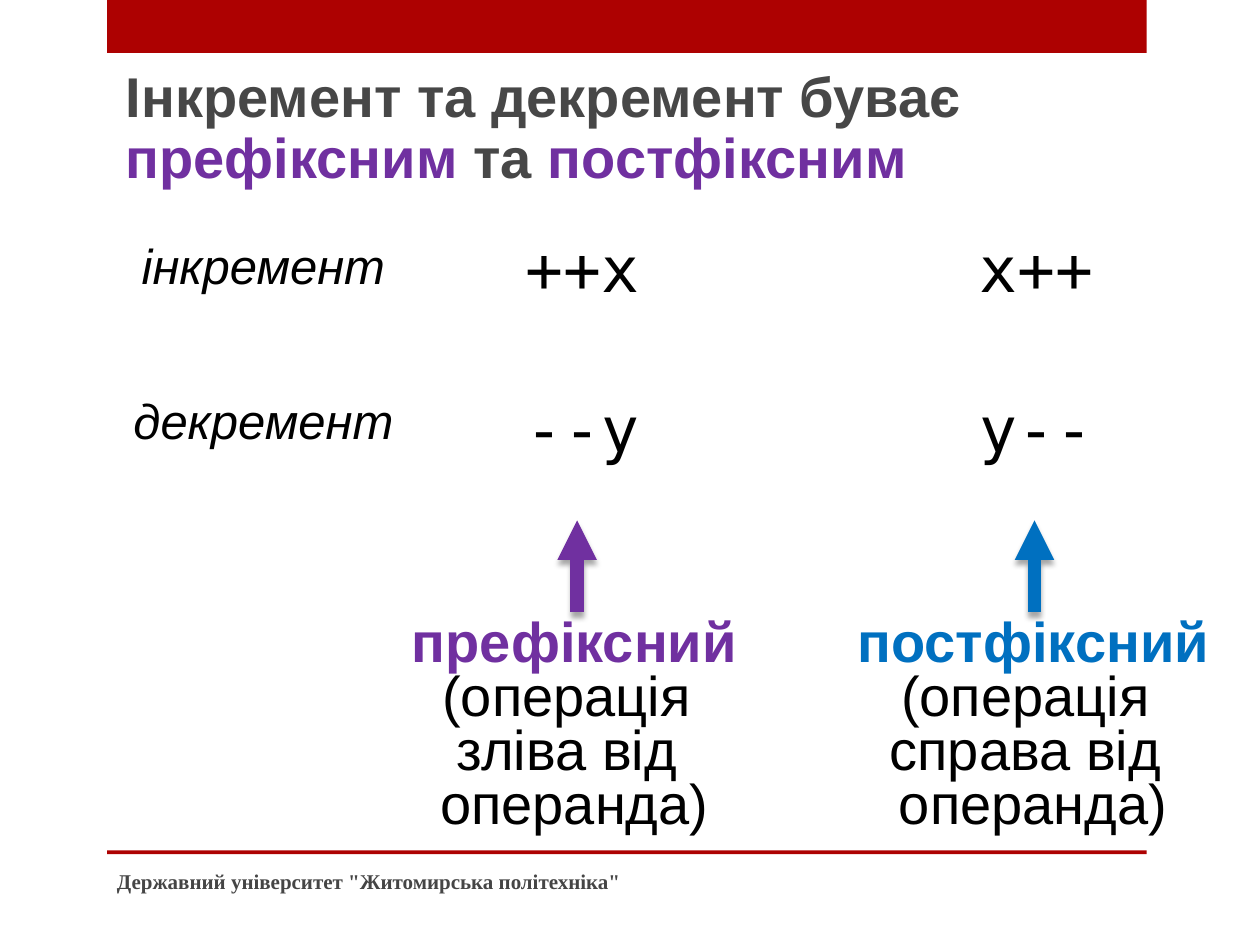
from dataclasses import dataclass

from lxml import etree
from pptx import Presentation
from pptx import util as u
from pptx.dml.color import RGBColor
from pptx.enum import shapes, text
from pptx.oxml.ns import qn

PAGE_WIDTH, PAGE_HEIGHT = u.Inches(10), u.Inches(7.5)
COLUMNS, ROWS = 100, 75


@dataclass(frozen=True)
class Theme:
    red: str = "AD0101"
    heading: str = "474747"
    footer: str = "454545"
    prefix: str = "7030A0"
    postfix: str = "0070C0"
    ink: str = "000000"
    paper: str = "FFFFFF"
    sans: str = "Arial"
    mono: str = "DejaVu Sans Mono"
    serif: str = "Times New Roman"
    title_size: int = 32
    code_size: int = 36
    label_size: int = 28
    footer_size: int = 12
    arrow_width: float = 7.5


THEME = Theme()


def across(columns):
    return round(PAGE_WIDTH * columns / COLUMNS)


def down(rows):
    return round(PAGE_HEIGHT * rows / ROWS)


def place(left, top, width, height):
    return across(left), down(top), across(width), down(height)


def add_span(para, words, font, size, color, bold=False, italic=False):
    """Add a run, turning each newline into a line break."""
    for index, line in enumerate(words.split("\n")):
        if index:
            para.add_line_break()
        if line:
            span = para.add_run()
            span.text = line
            span.font.name = font
            span.font.size = u.Pt(size)
            span.font.bold = bold
            span.font.italic = italic
            span.font.color.rgb = RGBColor.from_string(color)


def add_block(page, area, fill):
    block = page.shapes.add_shape(shapes.MSO_SHAPE.RECTANGLE, *place(*area))
    block.shadow.inherit = False
    block.fill.solid()
    block.fill.fore_color.rgb = RGBColor.from_string(fill)
    block.line.fill.background()
    return block


def add_text(page, area, spacing=1.0, align=text.PP_ALIGN.LEFT, wrap=True,
             anchor=text.MSO_ANCHOR.TOP):
    """Add a text box and return its first paragraph."""
    frame = page.shapes.add_textbox(*place(*area)).text_frame
    frame.word_wrap = wrap
    frame.vertical_anchor = anchor
    para = frame.paragraphs[0]
    para.line_spacing = spacing
    para.alignment = align
    return para


def add_code(page, left, top, code):
    block = add_block(page, (left, top, 22.7, 7.1), THEME.paper)
    block.text_frame.vertical_anchor = text.MSO_ANCHOR.TOP
    para = block.text_frame.paragraphs[0]
    para.alignment = text.PP_ALIGN.CENTER
    add_span(para, code, THEME.mono, THEME.code_size, THEME.ink)


def add_centered(page, center, top, width, height):
    return add_text(page, (center - width / 2, top, width, height), 0.8,
                    text.PP_ALIGN.CENTER, wrap=False)


def add_arrow(page, column, color):
    """Add an upward arrow with a soft shadow below it."""
    arrow = page.shapes.add_connector(
        shapes.MSO_CONNECTOR.STRAIGHT,
        across(column), down(48.6), across(column), down(41.3))
    arrow.line.color.rgb = RGBColor.from_string(color)
    arrow.line.width = u.Pt(THEME.arrow_width)
    etree.SubElement(arrow.line._get_or_add_ln(), qn("a:tailEnd"), type="triangle")
    effects = etree.SubElement(arrow._element.spPr, qn("a:effectLst"))
    shadow = etree.SubElement(
        effects, qn("a:outerShdw"), blurRad=str(u.Pt(3)), dist=str(u.Pt(3)),
        dir="5400000", rotWithShape="0")
    tint = etree.SubElement(shadow, qn("a:srgbClr"), val=THEME.ink)
    etree.SubElement(tint, qn("a:alpha"), val="35000")


def add_title(page):
    para = add_text(page, (8.5, 5, 82.7, 12.7), 0.9)
    properties = para._p.get_or_add_pPr()
    properties.set("marL", str(u.Inches(0.05)))
    properties.set("indent", "0")
    for words, color in (
        ("Інкремент та декремент буває\n", THEME.heading),
        ("префіксним", THEME.prefix),
        (" та ", THEME.heading),
        ("постфіксним", THEME.prefix),
    ):
        add_span(para, words, THEME.sans, THEME.title_size, color, bold=True)


def add_form(page, code_left, arrow_column, caption_center, caption_width,
             codes, color, name, detail):
    """Add one operator form: two code samples, an arrow and its caption."""
    for row, code in enumerate(codes):
        add_code(page, code_left, 17.7 + 12.7 * row, code)
    add_arrow(page, arrow_column, color)
    para = add_centered(page, caption_center, 48.7, caption_width, 18.2)
    add_span(para, name + "\n", THEME.sans, THEME.title_size, color, bold=True)
    add_span(para, detail, THEME.sans, THEME.title_size, THEME.ink)


def add_footer(page):
    para = add_text(page, (8.3, 67.9, 53.3, 4), anchor=text.MSO_ANCHOR.MIDDLE)
    add_span(para, 'Державний університет "Житомирська політехніка"',
             THEME.serif, THEME.footer_size, THEME.footer, bold=True)


def main():
    deck = Presentation()
    deck.slide_width, deck.slide_height = PAGE_WIDTH, PAGE_HEIGHT
    page = deck.slides.add_slide(deck.slide_layouts[6])

    for top, height in ((0, 4.2), (67.5, 0.3)):
        add_block(page, (8.5, top, 82.5, height), THEME.red)
    add_title(page)
    add_form(page, 34.9, 45.8, 45.6, 28, ("++x", "--y"), THEME.prefix,
             "префіксний", "(операція \nзліва від \nоперанда)")
    add_form(page, 70.9, 82.1, 82, 30.2, ("x++", "y--"), THEME.postfix,
             "постфіксний", "(операція \nсправа від \nоперанда)")
    for row, (label, width) in enumerate((("інкремент", 21.6), ("декремент", 22.9))):
        para = add_centered(page, 20.9, 19.1 + 12.3 * row, width, 4.8)
        add_span(para, label, THEME.sans, THEME.label_size, THEME.ink, italic=True)
    add_footer(page)

    deck.save("out.pptx")


if __name__ == "__main__":
    main()
